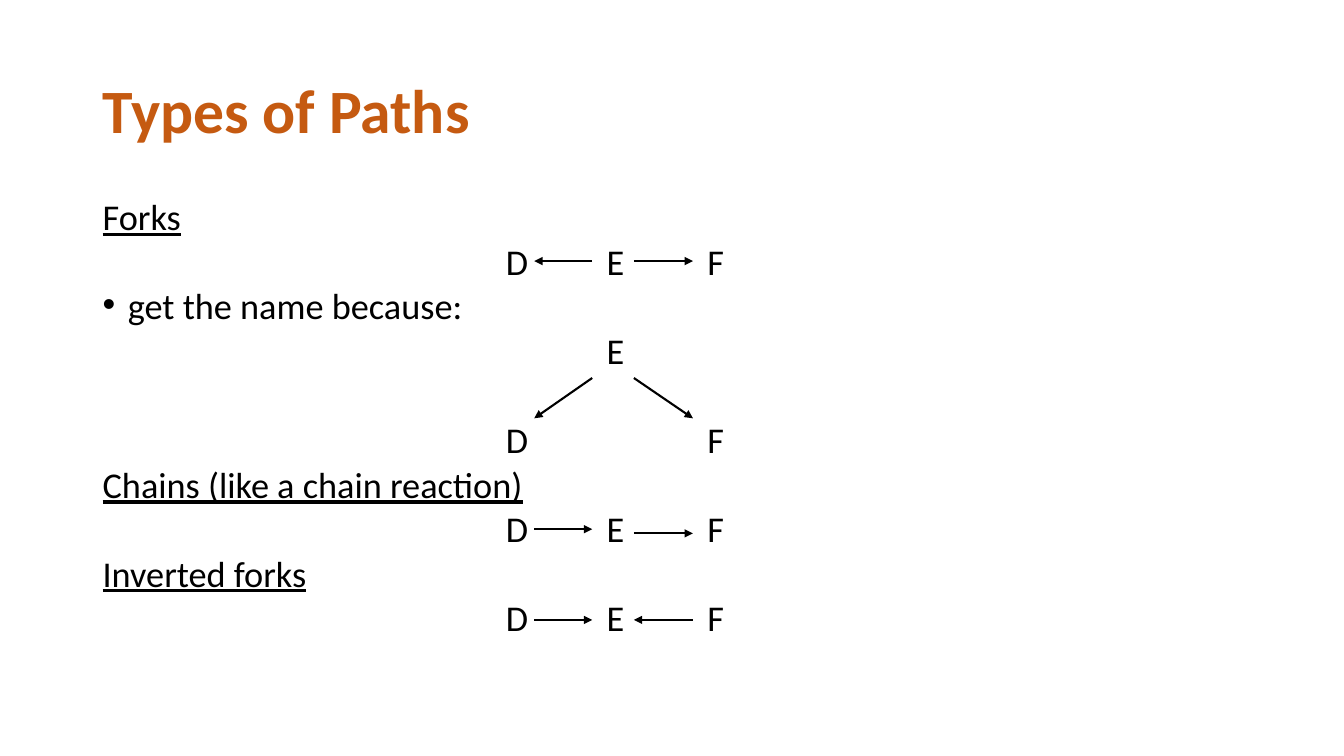
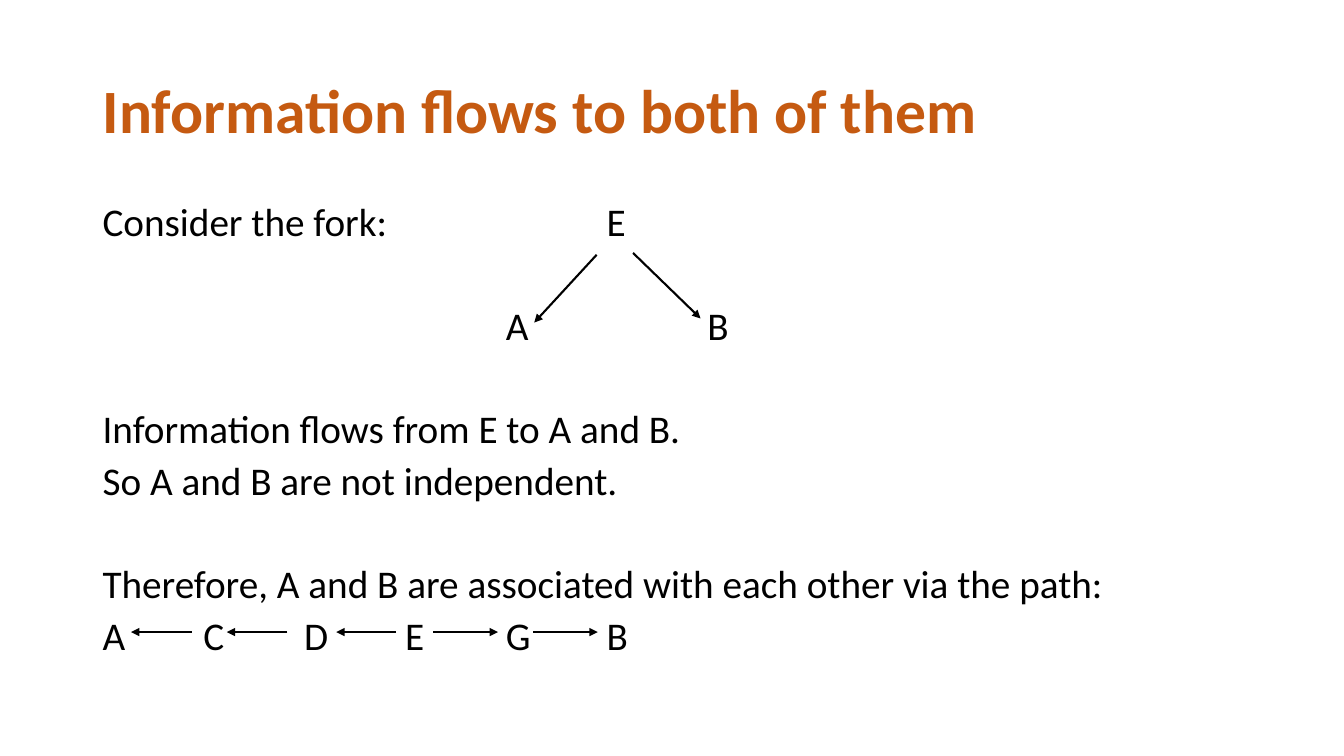
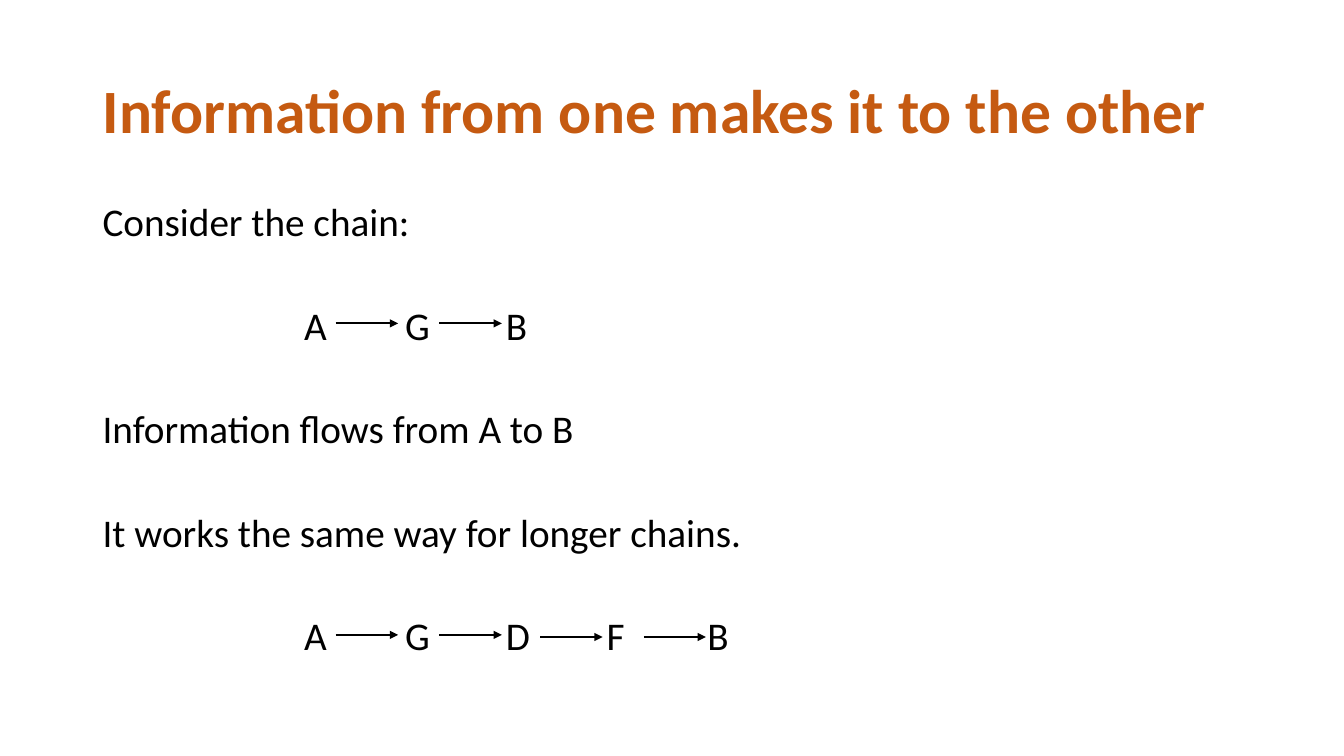
from dataclasses import dataclass

from lxml import etree
from pptx import Presentation
from pptx.dml.color import RGBColor
from pptx.enum.shapes import MSO_CONNECTOR
from pptx.enum.text import MSO_ANCHOR
from pptx.oxml.ns import qn
from pptx.util import Pt

STRAIGHT = MSO_CONNECTOR.STRAIGHT
TOP, MIDDLE = MSO_ANCHOR.TOP, MSO_ANCHOR.MIDDLE


@dataclass(frozen=True)
class Theme:
    font: str = "Calibri"
    title_color: RGBColor = RGBColor(0xC5, 0x5A, 0x11)
    ink: RGBColor = RGBColor(0, 0, 0)
    title_size: float = 44
    body_size: float = 28
    dense_size: float = 25.9
    line_width: float = 1.5
    left: float = 66.24
    width: float = 828
    column: float = 72
    space: float = 10


@dataclass(frozen=True)
class Line:
    """A body line: lead text, then letters keyed by their column."""
    text: str = ""
    nodes: tuple = ()
    underline: bool = False
    bullet: bool = False
    gap: float = 0


def letters(first, names, step=1):
    """Place each letter of names in its own column."""
    return tuple((first + i * step, name) for i, name in enumerate(names))


class Deck:
    def __init__(self, theme):
        self.theme = theme
        self.prs = Presentation()
        self.prs.slide_width, self.prs.slide_height = Pt(960), Pt(540)
        self.s = None

    def slide(self, title):
        t = self.theme
        self.s = self.prs.slides.add_slide(self.prs.slide_layouts[6])
        p = self.frame(28.75, 104.4, MIDDLE).paragraphs[0]
        p.line_spacing = 0.9
        self.run(p, title, t.title_size, t.title_color, bold=True)

    def frame(self, top, height, anchor):
        t = self.theme
        box = self.s.shapes.add_textbox(Pt(t.left), Pt(top), Pt(t.width), Pt(height))
        tf = box.text_frame
        tf.word_wrap = True
        tf.vertical_anchor = anchor
        return tf

    def run(self, p, text, size, color, bold=False, underline=False):
        r = p.add_run()
        r.text = text
        r.font.name, r.font.size = self.theme.font, Pt(size)
        r.font.color.rgb = color
        r.font.bold, r.font.underline = bold, underline

    def body(self, lines, size, spacing):
        t = self.theme
        tf = self.frame(144, 342.6, TOP)
        for i, line in enumerate(lines):
            p = tf.add_paragraph() if i else tf.paragraphs[0]
            p.line_spacing = spacing
            p.space_before = Pt(t.space + line.gap)
            if line.bullet:
                self.bullet(p)
            if line.nodes:
                self.tab_stops(p, [column for column, _ in line.nodes if column])
            if line.text:
                self.run(p, line.text, size, t.ink, underline=line.underline)
            for column, name in line.nodes:
                self.run(p, f"\t{name}" if column else name, size, t.ink)

    def bullet(self, p):
        pPr = p._p.get_or_add_pPr()
        pPr.set("marL", str(Pt(18)))
        pPr.set("indent", str(Pt(-18)))
        etree.SubElement(pPr, qn("a:buFont")).set("typeface", "Arial")
        etree.SubElement(pPr, qn("a:buChar")).set("char", "•")

    def tab_stops(self, p, columns):
        tabs = etree.SubElement(p._p.get_or_add_pPr(), qn("a:tabLst"))
        for column in columns:
            tab = etree.SubElement(tabs, qn("a:tab"))
            tab.set("pos", str(Pt(column * self.theme.column)))
            tab.set("algn", "l")

    def arrow(self, x1, y1, x2, y2):
        c = self.s.shapes.add_connector(STRAIGHT, Pt(x1), Pt(y1), Pt(x2), Pt(y2))
        c.line.color.rgb = self.theme.ink
        c.line.width = Pt(self.theme.line_width)
        etree.SubElement(c.line._get_or_add_ln(), qn("a:tailEnd")).set("type", "triangle")
        etree.SubElement(c._element.spPr, qn("a:effectLst"))

    def arrow_row(self, y, *spans):
        for x1, x2 in spans:
            self.arrow(x1, y, x2, y)


def types_of_paths(deck):
    deck.slide("Types of Paths")
    path = Line(nodes=letters(4, "DEF"))
    deck.body([
        Line("Forks", underline=True),
        path,
        Line("get the name because:", bullet=True),
        Line(nodes=letters(5, "E")),
        Line(nodes=letters(4, "DF", 2), gap=32),
        Line("Chains (like a chain reaction)", underline=True),
        path,
        Line("Inverted forks", underline=True),
        path,
    ], deck.theme.dense_size, 0.7)
    d, e_left, e_right, f = 381.6, 423, 452.8, 495
    deck.arrow_row(186.5, (e_left, d), (e_right, f))
    deck.arrow(e_left, 270, d, 298.8)
    deck.arrow(e_right, 270, f, 298.8)
    deck.arrow_row(378, (d, e_left))
    deck.arrow_row(381, (e_right, f))
    deck.arrow_row(442.8, (d, e_left), (f, e_right))


def flows_to_both(deck):
    deck.slide("Information flows to both of them")
    gap = 37
    deck.body([
        Line("Consider the fork:", letters(5, "E")),
        Line(nodes=letters(4, "AB", 2), gap=gap),
        Line("Information flows from E to A and B.", gap=gap),
        Line("So A and B are not independent."),
        Line("Therefore, A and B are associated with each other via the path:", gap=gap),
        Line(nodes=letters(0, "ACDEGB")),
    ], deck.theme.body_size, 0.8)
    deck.arrow(426.2, 182, 381.6, 230.4)
    deck.arrow(452.2, 180.7, 500.4, 227.5)
    deck.arrow_row(451.5, (136.8, 93.6), (205.2, 162), (283, 240.2),
                   (309.6, 355.7), (380.9, 427))


def one_to_the_other(deck):
    deck.slide("Information from one makes it to the other")
    gap = 37
    deck.body([
        Line("Consider the chain:"),
        Line(nodes=letters(2, "AGB"), gap=gap),
        Line("Information flows from A to B", gap=gap),
        Line("It works the same way for longer chains.", gap=gap),
        Line(nodes=letters(2, "AGDFB"), gap=gap),
    ], deck.theme.body_size, 0.8)
    first_links = (239.8, 284.4), (313.9, 358.5)
    for y in (231, 453.5):
        deck.arrow_row(y, *first_links)
    deck.arrow_row(455, (385.9, 430.5), (460, 504.2))


def main():
    deck = Deck(Theme())
    types_of_paths(deck)
    flows_to_both(deck)
    one_to_the_other(deck)
    deck.prs.save("out.pptx")


if __name__ == "__main__":
    main()
